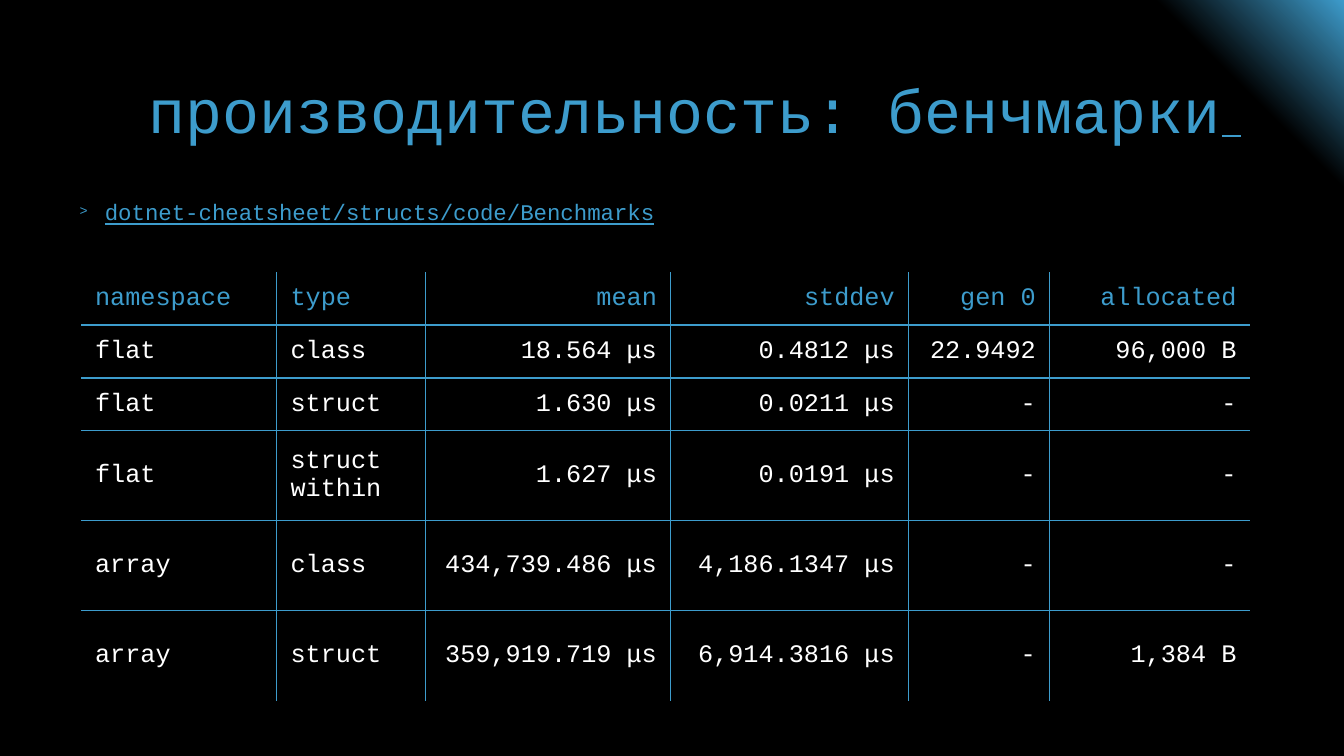
from lxml import etree
from pptx import Presentation
from pptx.dml.color import RGBColor
from pptx.enum import text as t
from pptx.oxml import ns
from pptx.util import Pt

COLORS = {"accent": "3D9CCC", "text": "FFFFFF", "back": "000000"}
FONT = "Courier New"
COLUMNS = [139.7, 106.6, 175, 169.9, 100.8, 143.3]
ROWS = [37.8] * 3 + [64.3] * 3
RESULTS = [
    ["namespace", "type", "mean", "stddev", "gen 0", "allocated"],
    ["flat", "class", "18.564 μs", "0.4812 μs", "22.9492", "96,000 B"],
    ["flat", "struct", "1.630 μs", "0.0211 μs", "-", "-"],
    ["flat", "struct\vwithin", "1.627 μs", "0.0191 μs", "-", "-"],
    ["array", "class", "434,739.486 μs", "4,186.1347 μs", "-", "-"],
    ["array", "struct", "359,919.719 μs", "6,914.3816 μs", "-", "1,384 B"],
]


def rgb(name):
    """Return the named colour."""
    return RGBColor.from_string(COLORS[name])


def add(parent, tag, **attrs):
    """Append a DrawingML element and return it."""
    return etree.SubElement(parent, ns.qn(tag), attrs)


def style(font, size, color, name=FONT):
    """Set the face, size and colour of a font."""
    font.name, font.size = name, Pt(size)
    font.color.rgb = rgb(color)


def place(sp, x, y, w, h):
    """Move a placeholder to a box and centre its text vertically."""
    sp.left, sp.top, sp.width, sp.height = Pt(x), Pt(y), Pt(w), Pt(h)
    tf = sp.text_frame
    tf.word_wrap = True
    tf.auto_size = t.MSO_AUTO_SIZE.NONE
    tf.vertical_anchor = t.MSO_ANCHOR.MIDDLE
    p = tf.paragraphs[0]
    p.line_spacing = 0.9
    return p


def paint_background(s):
    """Light the top right corner of a black slide."""
    fill = s.background.fill
    fill.gradient()
    fill.gradient_angle = 225
    for stop, position, color in zip(fill.gradient_stops, (0, 0.09), ("accent", "back")):
        stop.position = position
        stop.color.rgb = rgb(color)


def fill_title(s, x, y, w, h):
    """Write the title with its underlined cursor."""
    p = place(s.shapes.title, x, y, w, h)
    p.alignment = t.PP_ALIGN.RIGHT
    for words, name in (("производительность: бенчмарки", FONT), (" ", "DejaVu Sans")):
        r = p.add_run()
        r.text = words
        style(r.font, 44, "accent", name)
    r.font.underline = True


def fill_source(s, x, y, w, h):
    """Write the bulleted path of the benchmark code."""
    p = place(s.placeholders[1], x, y, w, h)
    p.text = "dotnet-cheatsheet/structs/code/Benchmarks"
    p.space_before = Pt(10)
    pPr = p._p.get_or_add_pPr()
    pPr.set("marL", str(Pt(18)))
    pPr.set("indent", str(-Pt(18)))
    add(add(pPr, "a:buClr"), "a:srgbClr", val=COLORS["accent"])
    add(pPr, "a:buSzPct", val="60000")
    add(pPr, "a:buFont", typeface=FONT)
    add(pPr, "a:buChar", char=">")
    style(p.font, 16, "accent")
    p.font.underline = True


def fill_cell(cell, words, row, col):
    """Write one result and draw the inner borders of its cell."""
    cell.margin_left = cell.margin_right = Pt(10)
    cell.margin_top = cell.margin_bottom = Pt(4.5)
    cell.vertical_anchor = t.MSO_ANCHOR.MIDDLE
    p = cell.text_frame.paragraphs[0]
    p.text = words
    p.alignment = t.PP_ALIGN.RIGHT if col > 1 else t.PP_ALIGN.LEFT
    style(p.font, 18, "text" if row else "accent")
    inner = {"a:lnL": col > 0, "a:lnR": col < len(COLUMNS) - 1,
             "a:lnT": row > 0, "a:lnB": row < len(ROWS) - 1}
    for side, drawn in inner.items():
        if drawn:
            ln = add(cell._tc.get_or_add_tcPr(), side, w=str(Pt(1)))
            add(add(ln, "a:solidFill"), "a:srgbClr", val=COLORS["accent"])
    cell.fill.background()


def add_results(s, x, y):
    """Add the table of benchmark results."""
    frame = s.shapes.add_table(len(ROWS), len(COLUMNS), Pt(x), Pt(y), Pt(sum(COLUMNS)), Pt(sum(ROWS)))
    table = frame.table
    table.first_row = table.horz_banding = False
    table._tbl.tblPr.find(ns.qn("a:tableStyleId")).text = "{2D5ABB26-0587-4C30-8999-92F81FD0307C}"
    for column, width in zip(table.columns, COLUMNS):
        column.width = Pt(width)
    for i, height in enumerate(ROWS):
        table.rows[i].height = Pt(height)
        for j, words in enumerate(RESULTS[i]):
            fill_cell(table.cell(i, j), words, i, j)


def main():
    """Build the benchmark slide."""
    prs = Presentation()
    prs.slide_width, prs.slide_height = Pt(960), Pt(540)
    s = prs.slides.add_slide(prs.slide_layouts[1])
    paint_background(s)
    fill_title(s, 66, 28.8, 828, 104.4)
    add_results(s, 57.9, 194.4)
    fill_source(s, 49.7, 133.2, 844.5, 38.2)
    prs.save("out.pptx")


if __name__ == "__main__":
    main()
